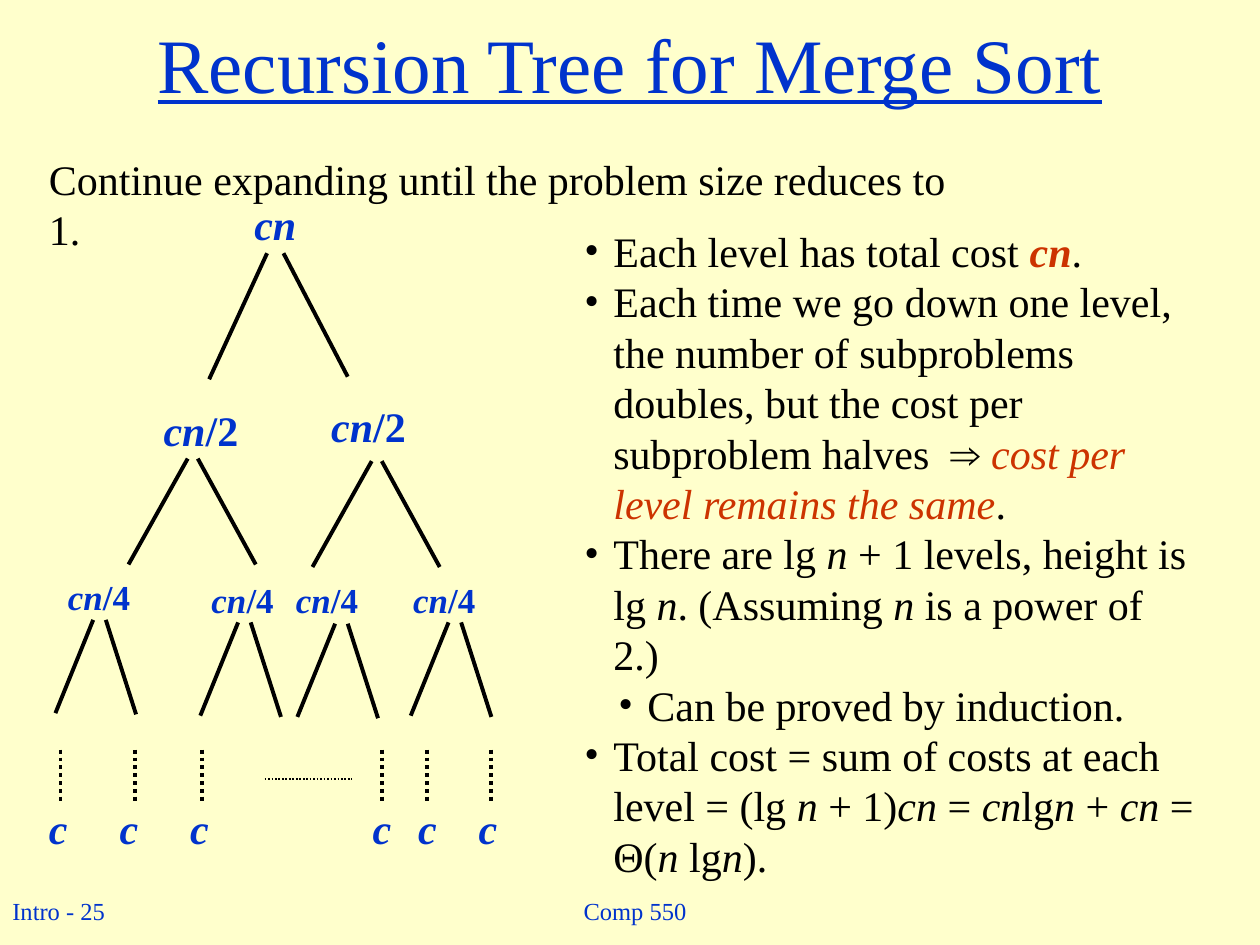
from dataclasses import dataclass

from lxml import etree
from pptx import Presentation
from pptx import util as u
from pptx.dml.color import RGBColor
from pptx.enum import dml, shapes, text
from pptx.oxml.ns import qn


@dataclass(frozen=True)
class Theme:
    """Colours, font and type sizes of the slide."""
    font: str = "Times New Roman"
    paper: str = "FFFFCC"
    ink: str = "000000"
    blue: str = "0033CC"
    red: str = "CC3300"
    title: int = 44
    body: int = 24
    leaf: int = 20
    footer: int = 14


def inch(v):
    """Return a length in inches as centimetres."""
    return u.Cm(v * 2.54)


class Deck:
    """Holds the theme and the current slide and draws elements on it."""

    def __init__(self, theme):
        """Start a one-slide presentation."""
        self.t = theme
        self.prs = Presentation()
        self.prs.slide_width, self.prs.slide_height = u.Cm(25.4), u.Cm(19.05)
        self.s = self.prs.slides.add_slide(self.prs.slide_layouts[6])
        fill = self.s.background.fill
        fill.solid()
        fill.fore_color.rgb = RGBColor.from_string(theme.paper)

    def run(self, p, content, size, color, **fmt):
        """Add one formatted run to a paragraph."""
        r = p.add_run()
        r.text = content
        for name, value in {"name": self.t.font, "size": u.Pt(size), **fmt}.items():
            setattr(r.font, name, value)
        r.font.color.rgb = RGBColor.from_string(color)

    def box(self, x, y, w, h, wrap=False, anchor=text.MSO_ANCHOR.TOP):
        """Add an empty text box and return its frame."""
        tf = self.s.shapes.add_textbox(*map(inch, (x, y, w, h))).text_frame
        tf.word_wrap, tf.vertical_anchor = wrap, anchor
        return tf

    def text(self, x, y, w, h, content, size, color, wrap=False, center=False, **fmt):
        """Add a single-paragraph text."""
        anchor = text.MSO_ANCHOR.MIDDLE if center else text.MSO_ANCHOR.TOP
        p = self.box(x, y, w, h, wrap, anchor).paragraphs[0]
        p.alignment = text.PP_ALIGN.CENTER if center else text.PP_ALIGN.LEFT
        self.run(p, content, size, color, **fmt)

    def cost(self, x, y, w, h, term, divisor="", size=None):
        """Add a node label with an italic term and an upright divisor."""
        p = self.box(x, y, w, h).paragraphs[0]
        for part, italic in ((term, True), (divisor, False)):
            if part:
                self.run(p, part, size or self.t.body, self.t.blue, bold=True, italic=italic)

    def line(self, x1, y1, x2, y2, width=2.25, dash=None):
        """Add a straight line."""
        c = self.s.shapes.add_connector(
            shapes.MSO_CONNECTOR.STRAIGHT, *map(inch, (x1, y1, x2, y2)))
        c.line.color.rgb = RGBColor.from_string(self.t.ink)
        c.line.width, c.line.dash_style = u.Pt(width), dash
        etree.SubElement(c._element.spPr, qn("a:effectLst"))

    def fork(self, x, y, gap, left, right):
        """Add the two branches below a node."""
        for start, (dx, dy) in ((x, left), (x + gap, right)):
            self.line(start, y, start + dx, y + dy)

    def bullets(self, x, y, w, h, items):
        """Add bulleted paragraphs whose |marked| parts are emphasised."""
        tf = self.box(x, y, w, h, wrap=True)
        for i, (level, content, color, bold) in enumerate(items):
            p = tf.add_paragraph() if i else tf.paragraphs[0]
            p.level = level
            pr = p._p.get_or_add_pPr()
            pr.set("marL", str(inch((0.23, 0.5)[level])))
            pr.set("indent", str(-inch(0.23)))
            etree.SubElement(pr, qn("a:buFont"), typeface=self.t.font)
            etree.SubElement(pr, qn("a:buChar"), char="•")
            for j, part in enumerate(content.split("|")):
                if j % 2:
                    self.run(p, part, self.t.body, color, italic=True, bold=bold)
                elif part:
                    self.run(p, part, self.t.body, self.t.ink)


t = Theme()
d = Deck(t)
d.text(0, 7.06, 0.97, 0.33, "Intro - 25", t.footer, t.blue)
d.text(4, 6.98, 2.08, 0.5, "Comp 550", t.footer, t.blue, center=True)
d.text(0, 0, 10, 1, "Recursion Tree for Merge Sort", t.title, t.blue,
       wrap=True, center=True, underline=True)
d.text(0.29, 1.17, 7.64, 0.5, "Continue expanding until the problem size reduces to 1.",
       t.body, t.ink, wrap=True)

d.cost(1.92, 1.53, 0.53, 0.5, "cn")
d.fork(2.12, 2.01, 0.13, (-0.46, 1), (0.51, 0.98))

for x, y in ((1.2, 3.16), (2.53, 3.13)):
    d.cost(x, y, 0.81, 0.5, "cn", "/2")
for x, y in ((1.49, 3.64), (2.95, 3.66)):
    d.fork(x, y, 0.08, (-0.47, 0.84), (0.46, 0.84))

for x, y in ((0.44, 4.52), (1.58, 4.54), (2.25, 4.54), (3.18, 4.54)):
    d.cost(x, y, 0.72, 0.43, "cn", "/4", t.leaf)
for x, y in ((0.74, 4.92), (1.89, 4.94), (2.66, 4.95), (3.56, 4.94)):
    d.fork(x, y, 0.1, (-0.3, 0.74), (0.24, 0.75))

DOTS = dml.MSO_LINE.ROUND_DOT
for x in (0.48, 1.07, 1.6, 3.03, 3.39, 3.9):
    d.line(x, 5.95, x, 6.38, dash=DOTS)
d.line(2.1, 6.18, 2.79, 6.18, width=1, dash=DOTS)
for x in (0.29, 0.85, 1.41, 2.86, 3.22, 3.7):
    d.cost(x, 6.32, 0.35, 0.5, "c")

d.bullets(4.54, 1.74, 5.06, 4.89, (
    (0, "Each level has total cost |cn|.", t.red, True),
    (0, "Each time we go down one level, the number of subproblems doubles, but the cost "
        "per subproblem halves  ⇒ |cost per level remains the same|.", t.red, False),
    (0, "There are lg |n| + 1 levels, height is lg |n|. (Assuming |n| is a power of 2.)",
     t.ink, False),
    (1, "Can be proved by induction.", t.ink, False),
    (0, "Total cost = sum of costs at each level = (lg |n| + 1)|cn| = |cn|lg|n| + |cn| = "
        "Θ(|n |lg|n|).", t.ink, False),
))
d.prs.save("out.pptx")
